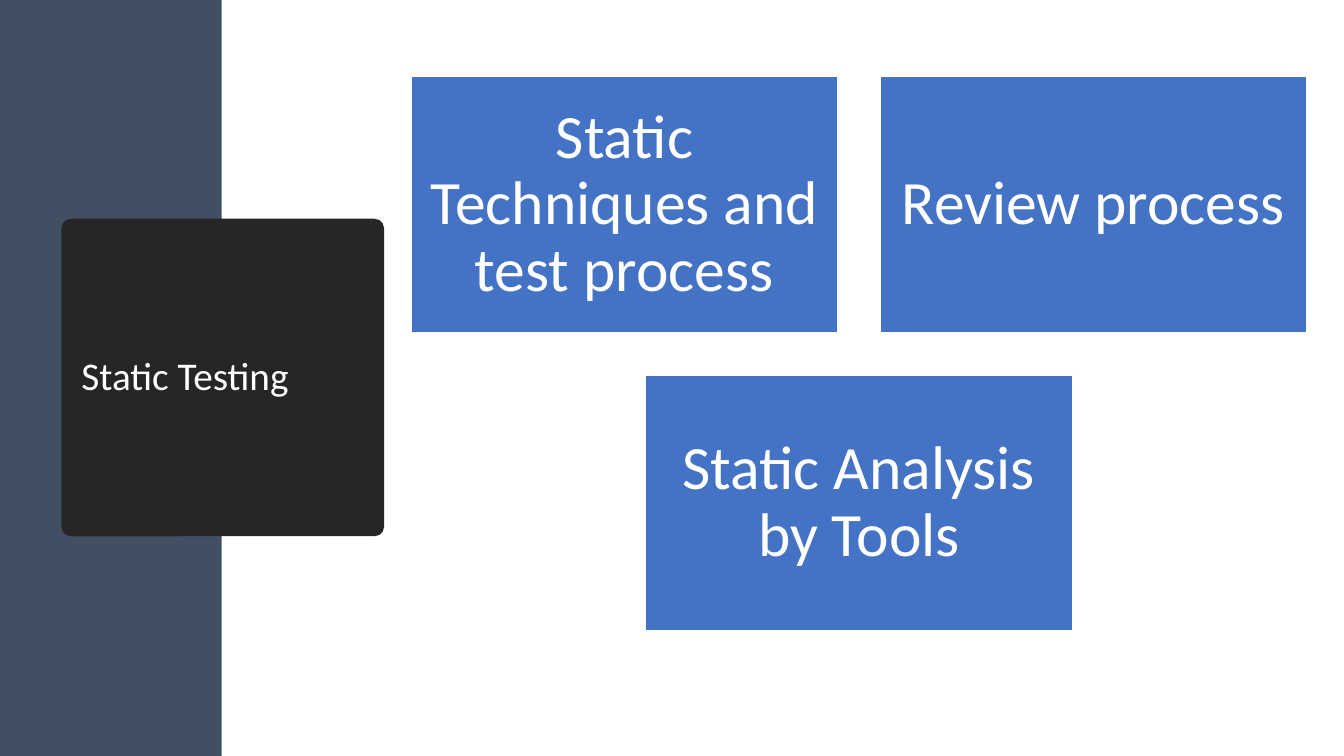
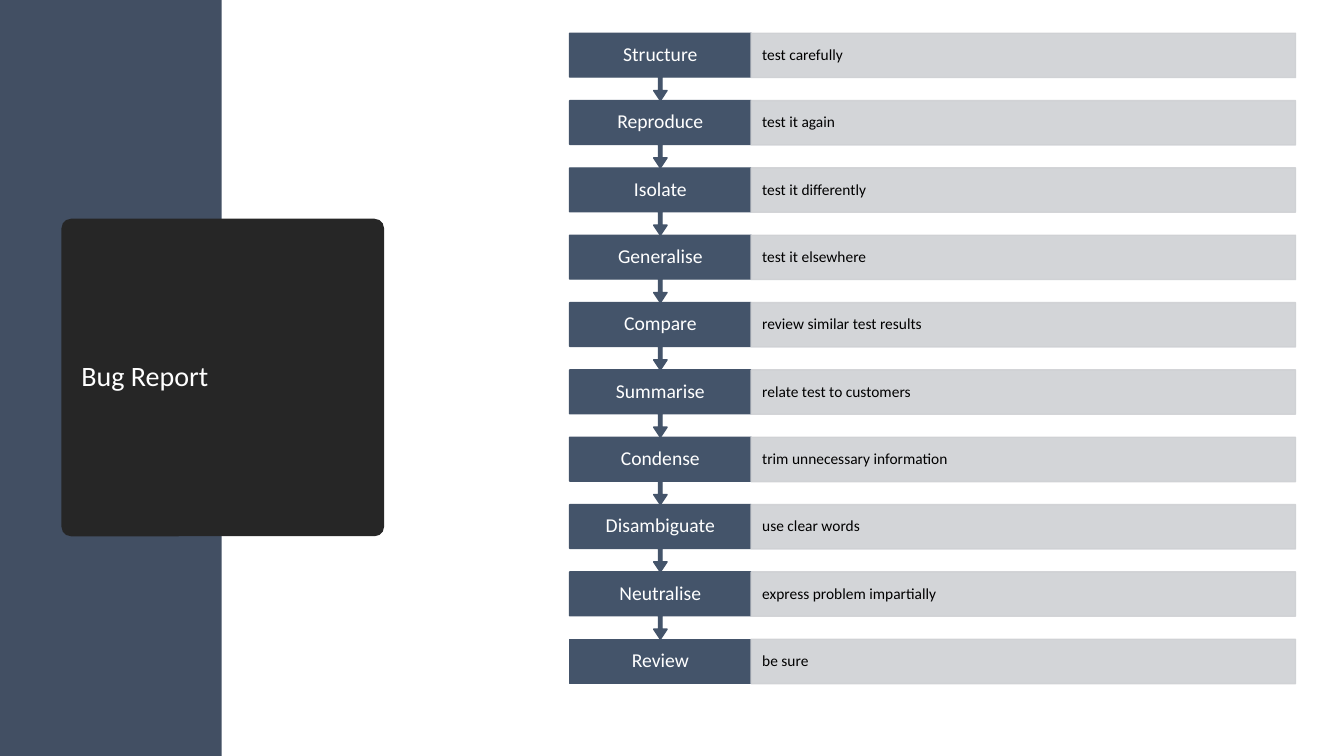
from lxml.etree import SubElement
from pptx import Presentation
from pptx.dml.color import RGBColor
from pptx.enum.shapes import MSO_SHAPE as SHAPE
from pptx.enum.text import MSO_ANCHOR as ANCHOR, PP_ALIGN as ALIGN
from pptx.oxml.ns import qn
from pptx.util import Inches, Pt

TOPICS_TITLE = ("Static Testing", 28)
TOPIC_ROWS = [
    ["Static Techniques and test process", "Review process"],
    ["Static Analysis by Tools"],
]

STEPS_TITLE = ("Bug Report", 20)
STEPS = [
    ("Structure", "test carefully"),
    ("Reproduce", "test it again"),
    ("Isolate", "test it differently"),
    ("Generalise", "test it elsewhere"),
    ("Compare", "review similar test results"),
    ("Summarise", "relate test to customers"),
    ("Condense", "trim unnecessary information"),
    ("Disambiguate", "use clear words"),
    ("Neutralise", "express problem impartially"),
    ("Review", "be sure"),
]

FONT = "Calibri"
WHITE, BLACK = "FFFFFF", "000000"
BAND, TITLE_FILL = "424F63", "262626"
TOPIC_FILL, STEP_FILL, DETAIL_FILL = "4472C4", "44546A", "CFD1D4"
SLIDE_W, SLIDE_H = 13.33, 7.5

TOPIC_W, TOPIC_H, TOPIC_GAP = 4.23, 2.54, 0.42
TOPIC_CENTRE, TOPIC_TOP = 8.52, 0.76

STEP_LEFT, STEP_TOP, STEP_W = 5.65, 0.33, 1.8
DETAIL_W, BAR_H, STEP_PITCH = 5.4, 0.44, 0.668
ARROW = [0.05, 0.1, 0.15, 0.65]


def rgb(value):
    """Return the colour for a hex string."""
    return RGBColor.from_string(value)


def add_box(slide, kind, box, fill, line=None, adjustments=()):
    """Add a filled preset shape without shadow."""
    s = slide.shapes.add_shape(kind, *(Inches(v) for v in box))
    s.shadow.inherit = False
    s.fill.solid()
    s.fill.fore_color.rgb = rgb(fill)
    if line:
        s.line.color.rgb = rgb(line)
        s.line.width = Pt(1)
    else:
        s.line.fill.background()
    for i, value in enumerate(adjustments):
        s.adjustments[i] = value
    return s


def write(s, text, size, color, align, side, edge=0.05):
    """Write one vertically centred paragraph into a shape."""
    tf = s.text_frame
    tf.text = text
    tf.word_wrap = True
    tf.vertical_anchor = ANCHOR.MIDDLE
    tf.margin_left = tf.margin_right = Inches(side)
    tf.margin_top = tf.margin_bottom = Inches(edge)
    p = tf.paragraphs[0]
    p.alignment = align
    p.line_spacing = 0.9
    font = p.runs[0].font
    font.name, font.size = FONT, Pt(size)
    font.color.rgb = rgb(color)


def set_opacity(s, percent):
    """Make the fill and line of a shape partly transparent."""
    for color in s._element.spPr.iter(qn("a:srgbClr")):
        SubElement(color, qn("a:alpha"), val=str(percent * 1000))


def add_slide(prs, title, size):
    """Add a slide with the side band and the title panel."""
    slide = prs.slides.add_slide(prs.slide_layouts[6])
    add_box(slide, SHAPE.RECTANGLE, (0, 0, 2.2, SLIDE_H), BAND)
    panel = add_box(slide, SHAPE.ROUNDED_RECTANGLE, (0.61, 2.17, 3.2, 3.15),
                    TITLE_FILL, adjustments=[0.03])
    write(panel, title, size, WHITE, ALIGN.LEFT, 0.17)
    return slide


def add_topics(slide):
    """Lay out the topic tiles in centred rows."""
    for row, topics in enumerate(TOPIC_ROWS):
        pitch = TOPIC_W + TOPIC_GAP
        left = TOPIC_CENTRE - (len(topics) * pitch - TOPIC_GAP) / 2
        top = TOPIC_TOP + row * (TOPIC_H + TOPIC_GAP)
        for col, topic in enumerate(topics):
            box = (left + col * pitch, top, TOPIC_W, TOPIC_H)
            s = add_box(slide, SHAPE.RECTANGLE, box, TOPIC_FILL, WHITE)
            write(s, topic, 44, WHITE, ALIGN.CENTER, 0.18, 0.18)


def add_steps(slide):
    """Stack the steps, each pointing down to the next one."""
    for i, (step, detail) in enumerate(STEPS):
        top = STEP_TOP + i * STEP_PITCH
        if i < len(STEPS) - 1:
            kind, height, adj = SHAPE.DOWN_ARROW_CALLOUT, STEP_PITCH, ARROW
        else:
            kind, height, adj = SHAPE.RECTANGLE, BAR_H, ()
        s = add_box(slide, kind, (STEP_LEFT, top, STEP_W, height),
                    STEP_FILL, STEP_FILL, adj)
        write(s, step, 14, WHITE, ALIGN.CENTER, 0.13)
        s = add_box(slide, SHAPE.RECTANGLE,
                    (STEP_LEFT + STEP_W, top, DETAIL_W, BAR_H),
                    DETAIL_FILL, DETAIL_FILL)
        set_opacity(s, 90)
        write(s, detail, 11, BLACK, ALIGN.LEFT, 0.11)


def main():
    """Build and save the presentation."""
    prs = Presentation()
    prs.slide_width, prs.slide_height = Inches(SLIDE_W), Inches(SLIDE_H)
    add_topics(add_slide(prs, *TOPICS_TITLE))
    add_steps(add_slide(prs, *STEPS_TITLE))
    prs.save("out.pptx")


if __name__ == "__main__":
    main()
